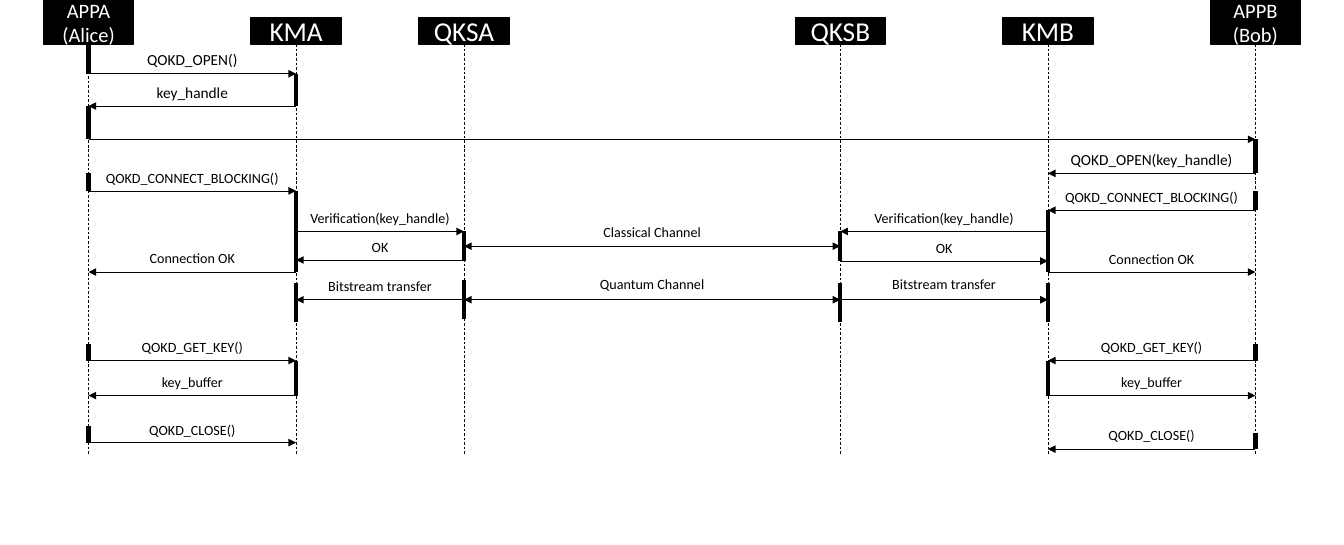
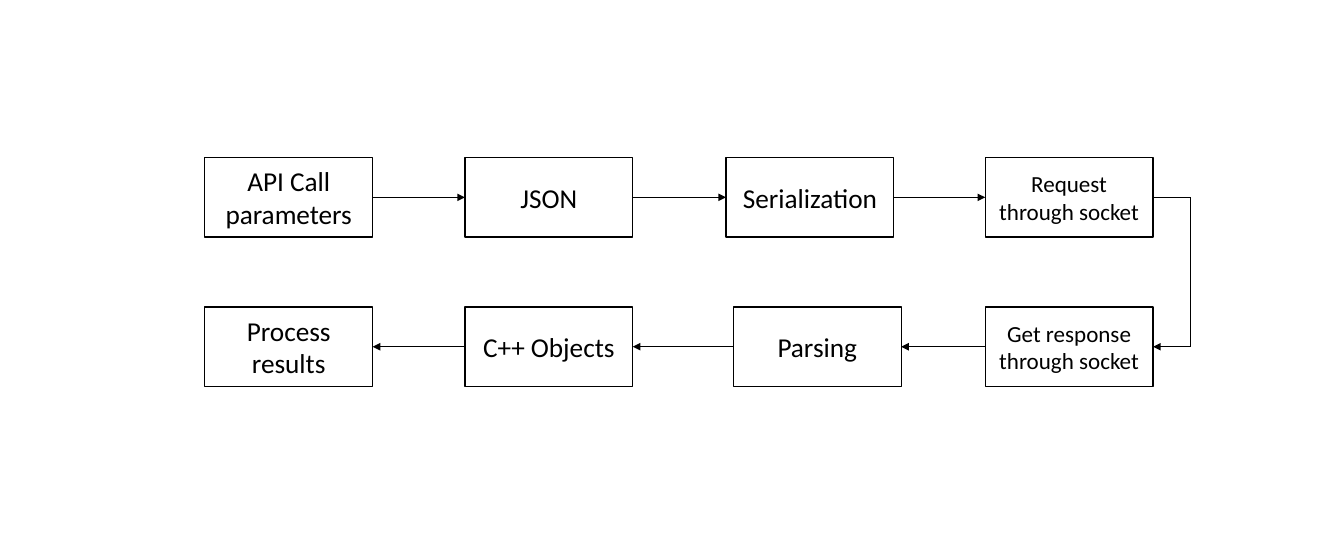
from lxml.etree import SubElement
from pptx import Presentation
from pptx.dml.color import RGBColor
from pptx.enum.dml import MSO_LINE
from pptx.enum.shapes import MSO_CONNECTOR, MSO_SHAPE
from pptx.enum.text import MSO_ANCHOR, MSO_AUTO_SIZE, PP_ALIGN
from pptx.oxml.ns import qn
from pptx.util import Inches, Pt

BLACK = RGBColor(0x00, 0x00, 0x00)
WHITE = RGBColor(0xFF, 0xFF, 0xFF)
FONT = "Calibri"
BLANK_LAYOUT = 6
THIN, THICK = 0.5, 3.25
BOTTOM, LEFT, RIGHT = 2, 1, 3

ACTOR_WIDTH, ACTOR_BOTTOM, LIFELINE_END = 0.98, 0.48, 4.92
LABEL_WIDTH, LABEL_HEIGHT = 2.11, 0.29
STEP_WIDTH, STEP_HEIGHT = 1.82, 0.86

ACTORS = [
    ("APPA", "APPA (Alice)", 0.96, 0.48, 16),
    ("KMA", "KMA", 3.21, 0.29, 21.3),
    ("QKSA", "QKSA", 5.03, 0.29, 21.3),
    ("QKSB", "QKSB", 9.11, 0.29, 21.3),
    ("KMB", "KMB", 11.36, 0.29, 21.3),
    ("APPB", "APPB (Bob)", 13.61, 0.48, 16),
]
CENTERS = {name: center for name, _, center, _, _ in ACTORS}

ACTIVATIONS = {
    "APPA": [(0.48, 0.8), (1.15, 1.51), (1.88, 2.07), (3.73, 3.91), (4.62, 4.8)],
    "KMA": [(0.8, 1.15), (2.07, 2.95), (3.07, 3.49), (3.91, 4.29)],
    "QKSA": [(2.51, 2.83), (3.04, 3.46)],
    "QKSB": [(2.51, 2.83), (3.07, 3.49)],
    "KMB": [(2.28, 2.95), (3.07, 3.49), (3.91, 4.29)],
    "APPB": [(1.51, 1.88), (2.07, 2.28), (3.73, 3.91), (4.7, 4.87)],
}

MESSAGES = [
    ("APPA", "KMA", 0.8, "QOKD_OPEN()", 0.49, 12),
    ("KMA", "APPA", 1.15, "key_handle", 0.85, 12),
    ("APPA", "APPB", 1.51, None, None, None),
    ("APPB", "KMB", 1.88, "QOKD_OPEN(key_handle)", 1.58, 12),
    ("APPA", "KMA", 2.07, "QOKD_CONNECT_BLOCKING()", 1.79, 11),
    ("APPB", "KMB", 2.28, "QOKD_CONNECT_BLOCKING()", 1.99, 11),
    ("KMA", "QKSA", 2.51, "Verification(key_handle)", 2.22, 11),
    ("KMB", "QKSB", 2.51, "Verification(key_handle)", 2.22, 11),
    ("QKSA", "KMA", 2.82, "OK", 2.54, 11),
    ("QKSB", "KMB", 2.83, "OK", 2.55, 11),
    ("KMA", "APPA", 2.95, "Connection OK", 2.65, 11),
    ("KMB", "APPB", 2.95, "Connection OK", 2.67, 11),
    ("QKSA", "KMA", 3.25, "Bitstream transfer", 2.96, 11),
    ("QKSB", "KMB", 3.25, "Bitstream transfer", 2.94, 11),
    ("APPA", "KMA", 3.91, "QOKD_GET_KEY()", 3.62, 11),
    ("APPB", "KMB", 3.91, "QOKD_GET_KEY()", 3.62, 11),
    ("KMA", "APPA", 4.29, "key_buffer", 4.0, 11),
    ("KMB", "APPB", 4.29, "key_buffer", 4.0, 11),
    ("APPA", "KMA", 4.8, "QOKD_CLOSE()", 4.52, 11),
    ("APPB", "KMB", 4.87, "QOKD_CLOSE()", 4.58, 11),
]
CHANNELS = [
    ("QKSA", "QKSB", 2.67, "Classical Channel", 2.37, 11),
    ("QKSA", "QKSB", 3.25, "Quantum Channel", 2.94, 11),
]

REQUEST_TOP, RESPONSE_TOP, TURN_X = 1.71, 3.33, 12.9
REQUEST_STEPS = [
    ("API Call parameters", 2.22, 21.3),
    ("JSON", 5.04, 21.3),
    ("Serialization", 7.87, 21.3),
    ("Request through socket", 10.68, 18),
]
RESPONSE_STEPS = [
    ("Get response through socket", 10.68, 18),
    ("Parsing", 7.95, 21.3),
    ("C++ Objects", 5.04, 21.3),
    ("Process results", 2.22, 21.3),
]


def write_text(shape, text, size, color):
    frame = shape.text_frame
    frame.word_wrap = True
    paragraph = frame.paragraphs[0]
    paragraph.text = text
    paragraph.alignment = PP_ALIGN.CENTER
    paragraph.font.name = FONT
    paragraph.font.size = Pt(size)
    paragraph.font.color.rgb = color
    return frame


def add_box(slide, text, left, top, width, height, size, fill, color):
    shape = slide.shapes.add_shape(
        MSO_SHAPE.RECTANGLE, Inches(left), Inches(top), Inches(width), Inches(height))
    shape.shadow.inherit = False
    shape.fill.solid()
    shape.fill.fore_color.rgb = fill
    shape.line.color.rgb = BLACK
    shape.line.width = Pt(1)
    write_text(shape, text, size, color).vertical_anchor = MSO_ANCHOR.MIDDLE
    return shape


def add_label(slide, text, center, top, size):
    box = slide.shapes.add_textbox(
        Inches(center - LABEL_WIDTH / 2), Inches(top),
        Inches(LABEL_WIDTH), Inches(LABEL_HEIGHT))
    write_text(box, text, size, BLACK).auto_size = MSO_AUTO_SIZE.SHAPE_TO_FIT_TEXT


def add_line(slide, start, end, width=THIN, dash=None, arrows=()):
    connector = slide.shapes.add_connector(
        MSO_CONNECTOR.STRAIGHT, *(Inches(value) for value in (*start, *end)))
    connector.line.color.rgb = BLACK
    connector.line.width = Pt(width)
    if dash:
        connector.line.dash_style = dash
    for arrow in arrows:
        SubElement(connector.get_or_add_ln(), qn(f"a:{arrow}"), type="triangle")
    SubElement(connector.element.spPr, qn("a:effectLst"))
    return connector


def add_actor(slide, text, center, height, size):
    header = add_box(slide, text, center - ACTOR_WIDTH / 2, ACTOR_BOTTOM - height,
                     ACTOR_WIDTH, height, size, BLACK, WHITE)
    lifeline = add_line(slide, (center, ACTOR_BOTTOM), (center, LIFELINE_END),
                        dash=MSO_LINE.DASH)
    lifeline.begin_connect(header, BOTTOM)


def add_message(slide, message, arrows):
    sender, receiver, y, text, label_top, size = message
    start, end = CENTERS[sender], CENTERS[receiver]
    add_line(slide, (start, y), (end, y), arrows=arrows)
    if text:
        add_label(slide, text, (start + end) / 2, label_top, size)


def add_steps(slide, steps, top, exit_side, entry_side):
    boxes = [add_box(slide, text, left, top, STEP_WIDTH, STEP_HEIGHT, size, WHITE, BLACK)
             for text, left, size in steps]
    for source, target in zip(boxes, boxes[1:]):
        arrow = add_line(slide, (0, 0), (0, 0), arrows=["tailEnd"])
        arrow.begin_connect(source, exit_side)
        arrow.end_connect(target, entry_side)
    return boxes


def add_sequence_slide(presentation):
    slide = presentation.slides.add_slide(presentation.slide_layouts[BLANK_LAYOUT])
    for _, text, center, height, size in ACTORS:
        add_actor(slide, text, center, height, size)
    for name, spans in ACTIVATIONS.items():
        for top, bottom in spans:
            add_line(slide, (CENTERS[name], top), (CENTERS[name], bottom), THICK)
    for message in MESSAGES:
        add_message(slide, message, ["tailEnd"])
    for channel in CHANNELS:
        add_message(slide, channel, ["headEnd", "tailEnd"])


def add_flow_slide(presentation):
    slide = presentation.slides.add_slide(presentation.slide_layouts[BLANK_LAYOUT])
    request = add_steps(slide, REQUEST_STEPS, REQUEST_TOP, RIGHT, LEFT)[-1]
    response = add_steps(slide, RESPONSE_STEPS, RESPONSE_TOP, LEFT, RIGHT)[0]
    edge = REQUEST_STEPS[-1][1] + STEP_WIDTH
    upper, lower = (top + STEP_HEIGHT / 2 for top in (REQUEST_TOP, RESPONSE_TOP))
    outgoing = add_line(slide, (edge, upper), (TURN_X, upper))
    outgoing.begin_connect(request, RIGHT)
    add_line(slide, (TURN_X, upper), (TURN_X, lower))
    incoming = add_line(slide, (TURN_X, lower), (edge, lower), arrows=["tailEnd"])
    incoming.end_connect(response, RIGHT)


def main():
    presentation = Presentation()
    presentation.slide_width = Inches(14.57)
    presentation.slide_height = Inches(5.91)
    add_sequence_slide(presentation)
    add_flow_slide(presentation)
    presentation.save("out.pptx")


if __name__ == "__main__":
    main()
